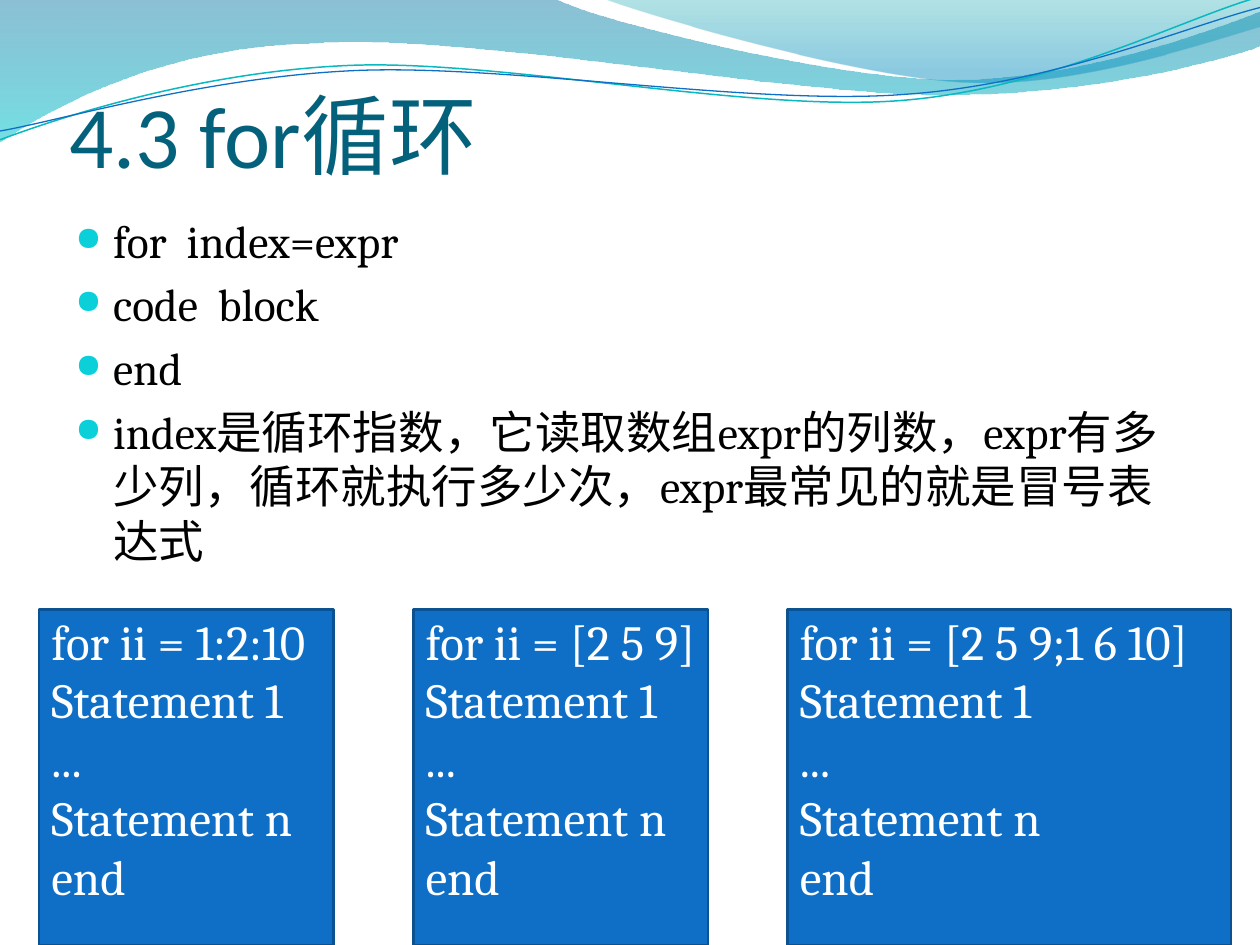
from lxml.etree import SubElement
from pptx import Presentation
from pptx.dml.color import RGBColor
from pptx.enum.shapes import MSO_SHAPE
from pptx.enum.text import MSO_ANCHOR, PP_ALIGN
from pptx.oxml.ns import qn
from pptx.util import Inches, Pt

WHITE = RGBColor(0xFF, 0xFF, 0xFF)
BLACK = RGBColor(0x00, 0x00, 0x00)
TITLE_TEAL = RGBColor(0x04, 0x61, 0x7B)
BULLET_CYAN = RGBColor(0x0B, 0xD0, 0xD9)
BOX_BLUE = RGBColor(0x0F, 0x6F, 0xC6)
BOX_EDGE = RGBColor(0x0B, 0x52, 0x92)
LINE_TEAL = RGBColor(0x0A, 0xB8, 0xBF)
WAVE_BLUE = RGBColor(0x00, 0x74, 0xA1)
WAVE_CYAN = RGBColor(0x00, 0xC6, 0xCF)
CREST_TEAL = RGBColor(0x00, 0xA1, 0xA9)
CREST_BLUE = RGBColor(0x00, 0x8B, 0xBF)

# Outlines: a pair is a straight step, six numbers are a cubic Bezier step.
WAVE = [(0, 0), (4.4, -0.01), (4.76, 0.17, 6.64, 0.63, 7.58, 0.63),
        (8.53, 0.63, 9.58, 0.26, 10, 0.09), (10.01, 0.36),
        (9.83, 0.44, 8.7, 0.76, 7.46, 0.75), (6.22, 0.75, 3.82, 0.28, 2.57, 0.34),
        (1.29, 0.36, 0.46, 0.83, -0.01, 1.13)]
CREST = [(4.79, -0.01), (5.09, 0.11, 6.82, 0.62, 7.69, 0.65),
         (8.56, 0.69, 9.61, 0.32, 10, 0.21), (10, 0)]
TEAL_STRAND = [(0, 1.11), (0.48, 0.93, 1.58, 0.57, 2.77, 0.52),
               (3.95, 0.47, 5.93, 0.89, 7.13, 0.8), (8.33, 0.71, 9.38, 0.15, 9.98, -0.02)]
BLUE_STRAND = [(0, 1.04), (0.47, 0.96, 1.64, 0.61, 2.83, 0.56),
               (4.03, 0.51, 5.97, 0.84, 7.17, 0.75), (8.36, 0.67, 9.41, 0.21, 10, 0.06)]

BULLETS = ["for  index=expr", "code  block", "end",
           "index是循环指数，它读取数组expr的列数，expr有多少列，循环就执行多少次，expr最常见的就是冒号表达式"]
LOOP_BODY = ["Statement 1", "...", "Statement n", "end"]


def bend_segments(shape, outline):
    """Join the three straight segments of each Bezier step into one curve."""
    segments = iter(list(shape.element.iter(qn("a:lnTo"))))
    for step in outline[1:]:
        segment = next(segments)
        if len(step) == 6:
            segment.tag = qn("a:cubicBezTo")
            for _ in range(2):
                extra = next(segments)
                segment.append(extra[0])
                extra.getparent().remove(extra)


def add_outline(page, outline, close):
    points = [(Inches(step[i]), Inches(step[i + 1]))
              for step in outline for i in range(0, len(step), 2)]
    builder = page.shapes.build_freeform(*points[0], scale=1.0)
    builder.add_line_segments(points[1:], close=close)
    shape = builder.convert_to_shape()
    bend_segments(shape, outline)
    shape.shadow.inherit = False
    return shape


def add_ribbon(page, outline, stops):
    """Fill an outline from top to bottom; stops are (position, colour, opacity in %)."""
    ribbon = add_outline(page, outline, close=True)
    ribbon.line.fill.background()
    ribbon.fill.gradient()
    ribbon.fill.gradient_angle = 270
    for stop, (position, color, _) in zip(ribbon.fill.gradient_stops, stops):
        stop.position = position
        stop.color.rgb = color
    for node, (_, _, opacity) in zip(ribbon.element.iter(qn("a:srgbClr")), stops):
        SubElement(node, qn("a:alpha"), val=str(opacity * 1000))


def add_strand(page, outline, color, width):
    strand = add_outline(page, outline, close=False)
    strand.fill.background()
    strand.line.color.rgb = color
    strand.line.width = Pt(width)


def add_header(page):
    add_ribbon(page, WAVE, [(0, WAVE_BLUE, 45), (1, WAVE_CYAN, 55)])
    add_ribbon(page, CREST, [(0, CREST_TEAL, 30), (0.8, CREST_BLUE, 45)])
    add_strand(page, TEAL_STRAND, LINE_TEAL, 0.85)
    add_strand(page, BLUE_STRAND, BOX_BLUE, 0.75)


def add_bullet(para, color, indent):
    props = para._p.get_or_add_pPr()
    props.set("marL", str(indent))
    props.set("indent", str(-indent))
    bullet_color = SubElement(props, qn("a:buClr"))
    SubElement(bullet_color, qn("a:srgbClr"), val=str(color))
    SubElement(props, qn("a:buSzPct"), val="73000")
    SubElement(props, qn("a:buChar"), char="●")


def write(shape, lines, *, font, size, color, anchor=MSO_ANCHOR.TOP,
          insets=(0.1, 0.05, 0.1, 0.05), space_before=0, bullet=None):
    """Write one paragraph per line; insets are left, top, right, bottom in inches."""
    frame = shape.text_frame
    frame.word_wrap = True
    frame.vertical_anchor = anchor
    (frame.margin_left, frame.margin_top,
     frame.margin_right, frame.margin_bottom) = map(Inches, insets)
    for i, line in enumerate(lines):
        para = frame.add_paragraph() if i else frame.paragraphs[0]
        para.alignment = PP_ALIGN.LEFT
        para.space_before = Pt(space_before)
        if bullet is not None:
            add_bullet(para, bullet, Inches(0.3))
        span = para.add_run()
        span.text = line
        span.font.name = font
        span.font.size = Pt(size)
        span.font.color.rgb = color


def add_title(page, box):
    write(page.shapes.add_textbox(*map(Inches, box)), ["4.3 for循环"], font="Calibri",
          size=50, color=TITLE_TEAL, anchor=MSO_ANCHOR.BOTTOM, insets=(0, 0.05, 0, 0))


def add_body(page, box):
    write(page.shapes.add_textbox(*map(Inches, box)), BULLETS, font="Cambria",
          size=26, color=BLACK, space_before=5.2, bullet=BULLET_CYAN)


def add_loop_box(page, box, header):
    panel = page.shapes.add_shape(MSO_SHAPE.RECTANGLE, *map(Inches, box))
    panel.shadow.inherit = False
    panel.fill.solid()
    panel.fill.fore_color.rgb = BOX_BLUE
    panel.line.color.rgb = BOX_EDGE
    panel.line.width = Pt(1.57)
    write(panel, [header] + LOOP_BODY, font="Cambria", size=28, color=WHITE,
          insets=(0.1, 0.01, 0.1, 0.05))


def add_loop_boxes(page, box):
    """Place the example loops side by side, the last one taking the width left."""
    left, top, width, height = box
    narrow, pitch = 2.34, 2.97
    headers = ["for ii = 1:2:10", "for ii = [2 5 9]", "for ii = [2 5 9;1 6 10]"]
    widths = [narrow, narrow, width - 2 * pitch]
    for i, (header, box_width) in enumerate(zip(headers, widths)):
        add_loop_box(page, (left + i * pitch, top, box_width, height), header)


def main():
    deck = Presentation()
    deck.slide_width, deck.slide_height = Inches(10), Inches(7.5)
    page = deck.slides.add_slide(deck.slide_layouts[6])
    add_header(page)
    add_title(page, (0.55, 0.23, 9, 1.25))
    add_body(page, (0.5, 1.64, 9, 5.28))
    add_loop_boxes(page, (0.31, 4.84, 9.46, 2.66))
    deck.save("out.pptx")


if __name__ == "__main__":
    main()
